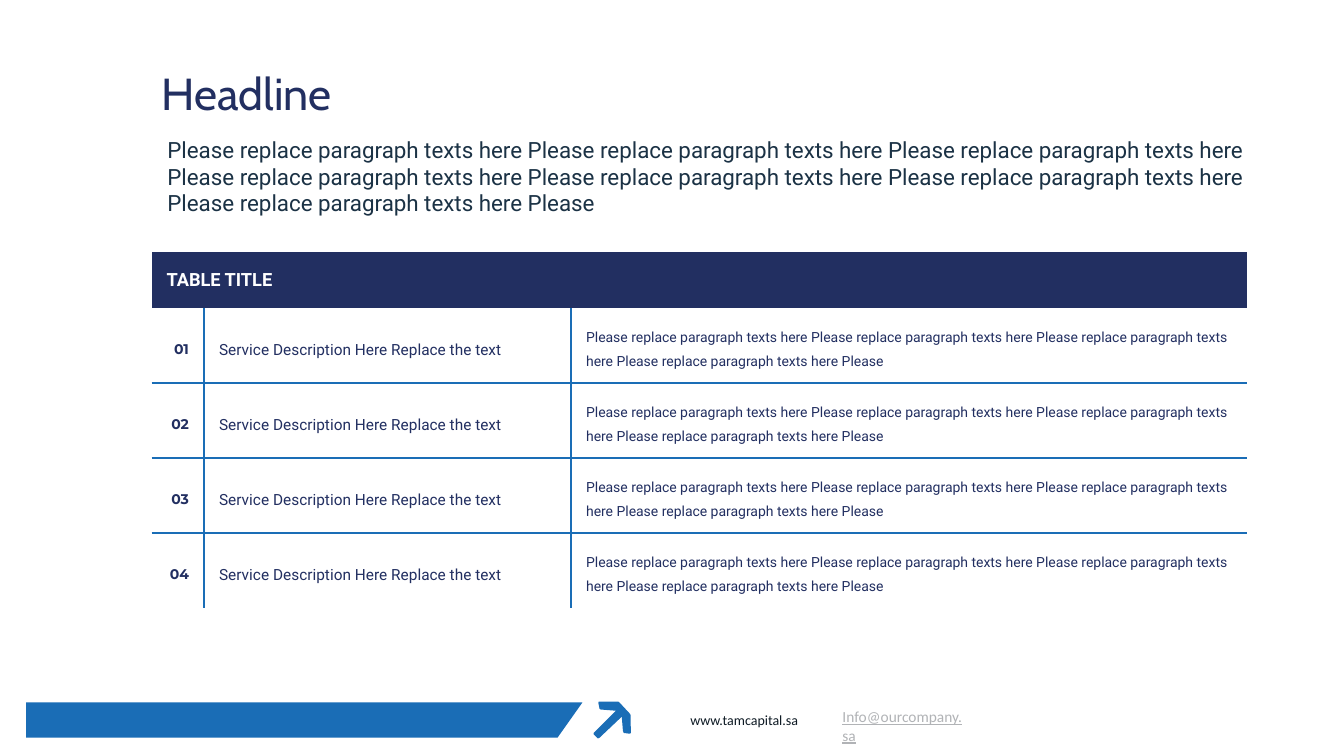
import dataclasses

import lxml.etree
import pptx
import pptx.dml.color
import pptx.enum.text
import pptx.oxml.ns
import pptx.util

Cm = pptx.util.Cm
Pt = pptx.util.Pt
RGB = pptx.dml.color.RGBColor.from_string
qn = pptx.oxml.ns.qn
ALIGN = pptx.enum.text.PP_ALIGN


@dataclasses.dataclass(frozen=True)
class Style:
    size: float
    font: str
    color: str
    bold: bool = False
    underline: bool = False
    spacing: float = 1.0


@dataclasses.dataclass(frozen=True)
class Theme:
    blue: str = "1A6DB6"
    navy: str = "222F61"
    headline: Style = Style(32, "Cabin", "222F61")
    intro: Style = Style(16, "Roboto", "1B3245")
    table_title: Style = Style(13, "Roboto", "FFFFFF", bold=True)
    number: Style = Style(10, "Montserrat", "222F61", bold=True, spacing=1.5)
    service: Style = Style(11, "Roboto", "222F61", spacing=1.5)
    detail: Style = Style(10, "Roboto", "222F61", spacing=1.5)
    website: Style = Style(10, "Calibri", "0E1A24", spacing=1.5)
    email: Style = Style(11, "Calibri", "B1B3B6", underline=True)


THEME = Theme()
NO_GRID_STYLE = "{2D5ABB26-0587-4C30-8999-92F81FD0307C}"
PHRASE = "Please replace paragraph texts here "
SERVICE = "Service Description Here Replace the text"

# Outlines in hundredths of a centimetre
BAR = [(0, 0), (0, 89), (1339, 89), (1402, 0)]
ARROW = [(13, 0), (61, 0), (64, 1), (91, 30), (93, 33), (94, 79),
         (91, 81), (76, 79), (74, 74), (71, 38), (15, 91), (11, 93),
         (0, 82), (0, 79), (56, 23), (18, 20), (15, 18), (12, 3)]


def write(paragraph, text, style, align=ALIGN.LEFT):
    paragraph.alignment = align
    paragraph.line_spacing = style.spacing
    run = paragraph.add_run()
    run.text = text
    run.font.size = Pt(style.size)
    run.font.name = style.font
    run.font.bold = style.bold
    run.font.underline = style.underline
    run.font.color.rgb = RGB(style.color)


def add_text(slide, box, text, style, indent=0):
    shape = slide.shapes.add_textbox(*(Cm(value) for value in box))
    frame = shape.text_frame
    frame.word_wrap = True
    frame.auto_size = pptx.enum.text.MSO_AUTO_SIZE.SHAPE_TO_FIT_TEXT
    paragraph = frame.paragraphs[0]
    if indent:
        paragraph._p.get_or_add_pPr().set("marL", str(Cm(indent)))
    write(paragraph, text, style)


def add_outline(slide, left, top, points):
    builder = slide.shapes.build_freeform(*points[0], scale=Cm(0.01))
    builder.add_line_segments(points[1:], close=True)
    shape = builder.convert_to_shape(Cm(left), Cm(top))
    # The outline keeps its own offset, so set the place directly
    shape.left, shape.top = Cm(left), Cm(top)
    shape.shadow.inherit = False
    shape.fill.solid()
    shape.fill.fore_color.rgb = RGB(THEME.blue)
    shape.line.fill.background()


def set_borders(cell, sides):
    properties = cell._tc.get_or_add_tcPr()
    for side in "LRTB":
        if side in sides:
            line = lxml.etree.SubElement(properties, qn(f"a:ln{side}"), w=str(Pt(1)))
            fill = lxml.etree.SubElement(line, qn("a:solidFill"))
            lxml.etree.SubElement(fill, qn("a:srgbClr"), val=THEME.blue)


def fill_cell(cell, text, style, sides="", fill=None, align=ALIGN.LEFT):
    cell.vertical_anchor = pptx.enum.text.MSO_ANCHOR.MIDDLE
    cell.margin_left = cell.margin_right = Cm(0.38)
    cell.margin_top = cell.margin_bottom = Cm(0.13)
    set_borders(cell, sides)
    if fill:
        cell.fill.solid()
        cell.fill.fore_color.rgb = RGB(fill)
    else:
        cell.fill.background()
    write(cell.text_frame.paragraphs[0], text, style, align)


def add_heading(slide, left, top):
    add_text(slide, (left, top, 7.92, 1.63), "Headline", THEME.headline)
    add_text(slide, (left, top + 1.78, 28.17, 2.31), PHRASE * 7 + "Please",
             THEME.intro, indent=0.15)


def add_service_table(slide, left, top, width, services=4):
    header_height, row_height = 1.4, 1.89
    number_width, service_width = 1.32, 9.25
    widths = (number_width, service_width, width - number_width - service_width)
    height = header_height + services * row_height
    frame = slide.shapes.add_table(services + 1, 3, Cm(left), Cm(top),
                                   Cm(width), Cm(height))
    table = frame.table
    table.first_row = table.horz_banding = False
    table._tbl.tblPr.find(qn("a:tableStyleId")).text = NO_GRID_STYLE
    for column, column_width in zip(table.columns, widths):
        column.width = Cm(column_width)
    for index, row in enumerate(table.rows):
        row.height = Cm(row_height if index else header_height)

    # Title across all columns
    table.cell(0, 0).merge(table.cell(0, 2))
    fill_cell(table.cell(0, 0), "TABLE TITLE", THEME.table_title, fill=THEME.navy)

    # Only inner rules are drawn
    for row in range(1, services + 1):
        rules = ("T" if row > 1 else "") + ("B" if row < services else "")
        fill_cell(table.cell(row, 0), f"{row:02}", THEME.number, "R" + rules,
                  align=ALIGN.RIGHT)
        fill_cell(table.cell(row, 1), SERVICE, THEME.service, "LR" + rules)
        fill_cell(table.cell(row, 2), PHRASE * 4 + "Please", THEME.detail,
                  "L" + rules)


def add_footer(slide, left, top):
    add_outline(slide, left, top + 0.02, BAR)
    add_outline(slide, left + 14.3, top, ARROW)
    add_text(slide, (left + 20.32, top + 0.02, 3.63, 0.74),
             "Info@ourcompany.sa", THEME.email)
    add_text(slide, (left + 16.49, top - 0.08, 3.28, 0.84),
             "www.tamcapital.sa", THEME.website)


def main():
    presentation = pptx.Presentation()
    presentation.slide_width = Cm(33.87)
    presentation.slide_height = Cm(19.05)
    slide = presentation.slides.add_slide(presentation.slide_layouts[6])
    add_footer(slide, 0.66, 17.68)
    add_service_table(slide, 3.82, 6.36, 27.61)
    add_heading(slide, 3.82, 1.52)
    presentation.save("out.pptx")


if __name__ == "__main__":
    main()
